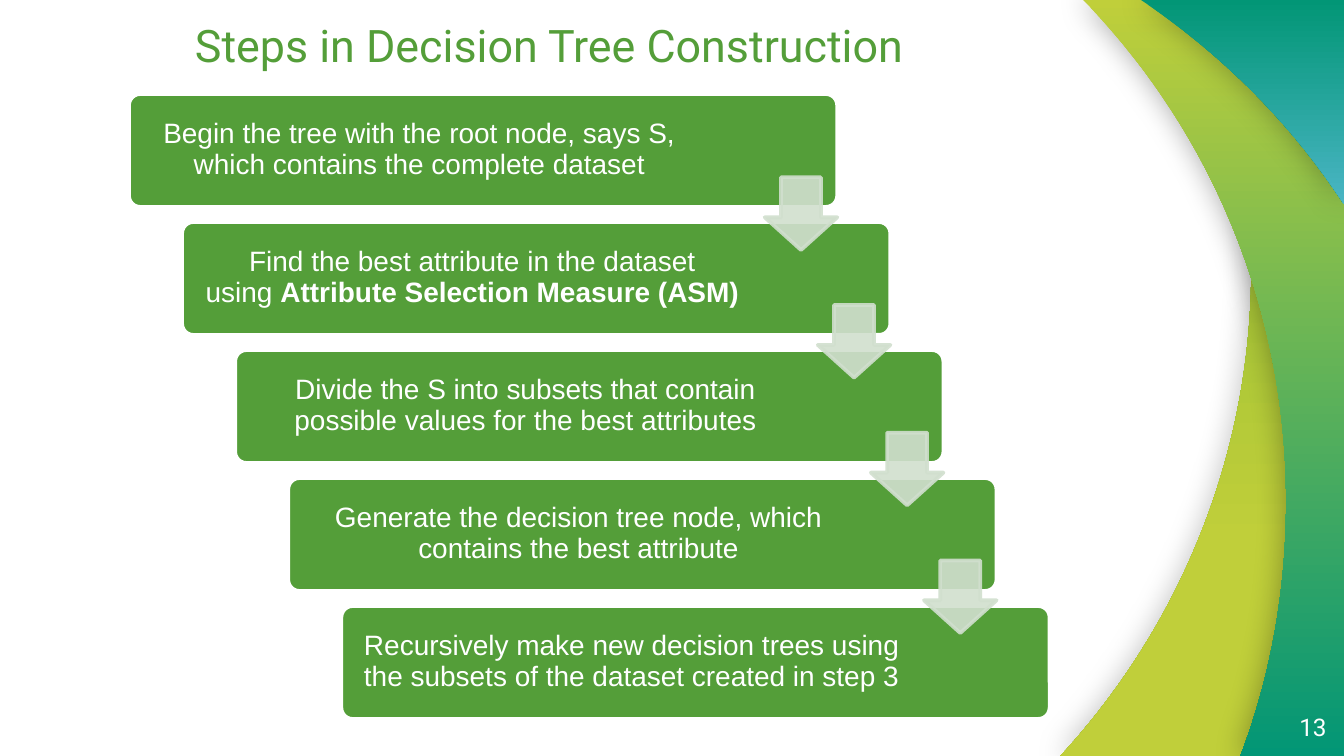
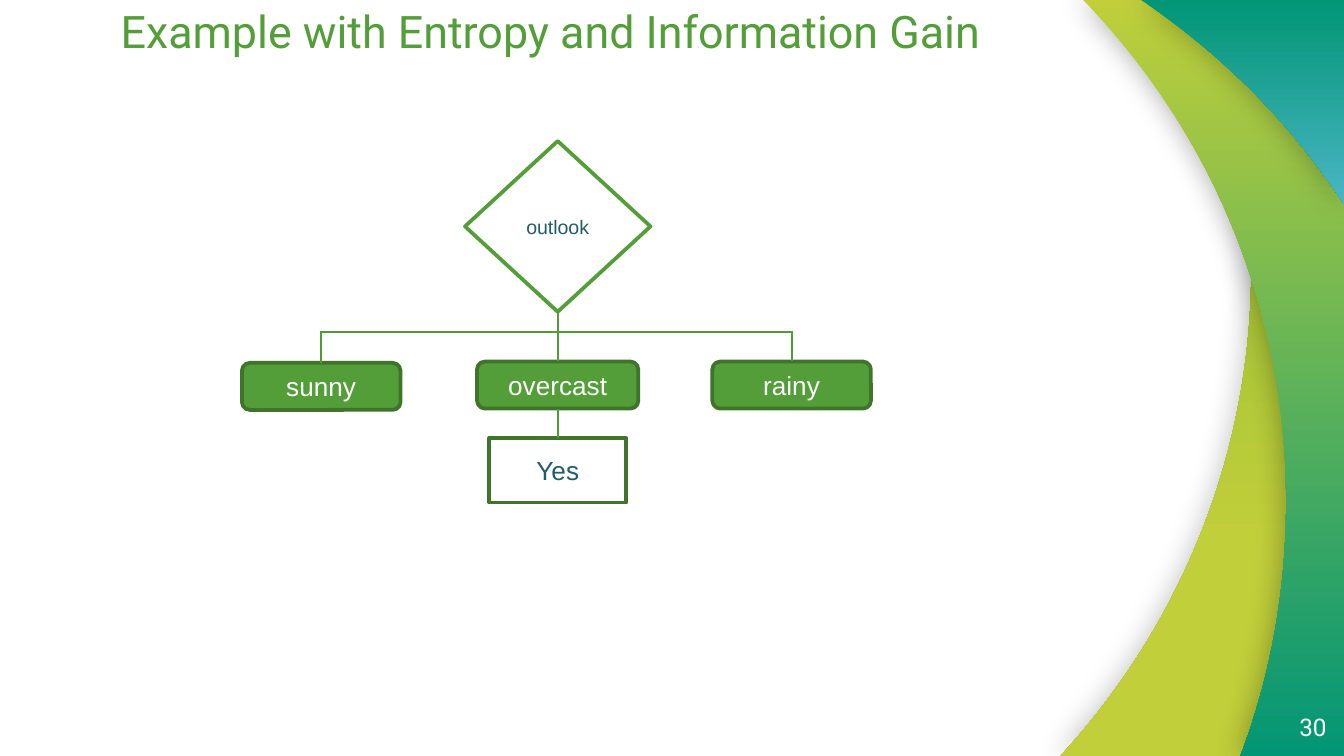
from lxml.etree import SubElement
from pptx import Presentation
from pptx.dml.color import RGBColor
from pptx.enum.shapes import MSO_CONNECTOR, MSO_SHAPE
from pptx.enum.text import MSO_ANCHOR, PP_ALIGN
from pptx.oxml.ns import qn
from pptx.util import Inches, Pt

WHITE = RGBColor(0xFF, 0xFF, 0xFF)
GREEN = RGBColor(0x54, 0x9E, 0x39)
DARK_GREEN = RGBColor(0x3E, 0x75, 0x2A)
LINE_GREEN = RGBColor(0x51, 0x9D, 0x35)
PALE_GREEN = RGBColor(0xD1, 0xDF, 0xCE)
LEAF = RGBColor(0x8A, 0xB8, 0x33)
LIME = RGBColor(0xC0, 0xCF, 0x3A)
TEAL = RGBColor(0x02, 0x96, 0x76)
AQUA = RGBColor(0x4A, 0xB5, 0xC4)
INK = RGBColor(0x21, 0x5D, 0x66)

WIDTH = 10
HEIGHT = WIDTH * 9 / 16
HARD_SPACE = chr(160)

# Bands: start, Bezier curves, corners, top colour, bottom colour, gradient end, shadow %
BANDS = [
    ((8.92, 0), [((9.18, 0.64), (9.31, 1.31), (9.31, 2)),
                 ((9.31, 3.4), (8.77, 4.67), (7.89, HEIGHT))],
     [(WIDTH, HEIGHT), (WIDTH, 0)], LEAF, LIME, 0.72, 25),
    ((8.06, 0), [((9, 0.96), (9.57, 2.28), (9.57, 3.73)),
                 ((9.57, 4.38), (9.46, 5.02), (9.23, HEIGHT))],
     [(WIDTH, HEIGHT), (WIDTH, 0)], LIME, TEAL, 1, 35),
    ((8.49, 0), [((9.09, 0.4), (9.61, 0.92), (WIDTH, 1.52))],
     [(WIDTH, 0)], TEAL, AQUA, 1, 30),
]


def add_block(page, kind, place, fill, outline):
    block = page.shapes.add_shape(kind, *[Inches(length) for length in place])
    block.shadow.inherit = False
    block.fill.solid()
    block.fill.fore_color.rgb = fill
    block.line.color.rgb = outline
    block.line.width = Pt(2)
    return block


def write(box, text, size, color, font="Arial", align=PP_ALIGN.CENTER,
          anchor=MSO_ANCHOR.MIDDLE, margin=0, spacing=1.0, bold_tail=""):
    frame = box.text_frame
    frame.text = text
    frame.word_wrap = True
    frame.vertical_anchor = anchor
    frame.margin_left = frame.margin_right = Inches(margin)
    frame.margin_top = frame.margin_bottom = Inches(margin)
    para = frame.paragraphs[0]
    para.alignment = align
    para.line_spacing = spacing
    if bold_tail:
        tail = para.add_run()
        tail.text = bold_tail
        tail.font.bold = True
    for span in para.runs:
        span.font.name = font
        span.font.size = Pt(size)
        span.font.color.rgb = color


deck = Presentation()
deck.slide_width = Inches(WIDTH)
deck.slide_height = Inches(HEIGHT)

# Shared frame of both slides: bands, title and slide number
pages = []
for title, title_left, title_top, number in [
    ("Steps in Decision Tree Construction", 0.28, 0.11, "13"),
    ("Example with Entropy and Information Gain", 0.29, 0, "30"),
]:
    page = deck.slides.add_slide(deck.slide_layouts[6])
    pages.append(page)
    for start, curves, corners, top_color, bottom_color, end, opacity in BANDS:
        knots = [curve[-1] for curve in curves] + corners
        builder = page.shapes.build_freeform(Inches(start[0]), Inches(start[1]))
        builder.add_line_segments([(Inches(x), Inches(y)) for x, y in knots], close=True)
        band = builder.convert_to_shape()
        # Bend the first segments into Bezier curves
        segments = list(band._element.spPr.iter(qn("a:lnTo")))
        for segment, curve in zip(segments, curves):
            segment.tag = qn("a:cubicBezTo")
            segment.remove(segment[0])
            for x, y in curve:
                SubElement(segment, qn("a:pt"), x=str(Inches(x) - band.left),
                           y=str(Inches(y) - band.top))
        band.line.fill.background()
        band.fill.gradient()
        band.fill.gradient_angle = 270
        for stop, color, position in zip(band.fill.gradient_stops,
                                         (top_color, bottom_color), (0, end)):
            stop.color.rgb = color
            stop.position = position
        band.shadow.inherit = False
        effects = band._element.spPr.find(qn("a:effectLst"))
        shadow = SubElement(effects, qn("a:outerShdw"), blurRad=str(Pt(16.9)),
                            dist="0", dir="0", algn="ctr", rotWithShape="0")
        black = SubElement(shadow, qn("a:srgbClr"), val="000000")
        SubElement(black, qn("a:alpha"), val=str(opacity * 1000))

    title_box = page.shapes.add_textbox(Inches(title_left), Inches(title_top),
                                        Inches(7.61), Inches(0.43))
    write(title_box, title, 24, GREEN, "Roboto", anchor=MSO_ANCHOR.BOTTOM, spacing=0.9)
    number_box = page.shapes.add_textbox(Inches(9.27), Inches(5.19), Inches(0.6), Inches(0.43))
    write(number_box, number, 13, WHITE, "Roboto", PP_ALIGN.RIGHT)

steps_page, tree_page = pages

# Staircase of steps
STEPS = [
    ("Begin the tree with the root node, says S, which contains the complete dataset", ""),
    ("Find the best attribute in the dataset using" + HARD_SPACE,
     "Attribute Selection Measure (ASM)"),
    ("Divide the S into subsets that contain possible values for the best attributes", ""),
    ("Generate the decision tree node, which contains the best attribute", ""),
    ("Recursively make new decision trees using the subsets of the dataset created in step 3", ""),
]
step_right = (2.54 - 0.96) / 4
step_down = (4.51 - 0.7) / 4
for index, (text, bold_tail) in enumerate(STEPS):
    left = 0.96 + index * step_right
    top = 0.7 + index * step_down
    card = add_block(steps_page, MSO_SHAPE.ROUNDED_RECTANGLE, (left, top, 5.27, 0.84),
                     GREEN, WHITE)
    card.adjustments[0] = 0.1
    label = steps_page.shapes.add_textbox(Inches(left + 0.02), Inches(top + 0.02),
                                          Inches(4.28), Inches(0.79))
    write(label, text, 15, WHITE, margin=0.06, spacing=0.9, bold_tail=bold_tail)

# Translucent arrows between the steps
for index in range(len(STEPS) - 1):
    arrow = add_block(steps_page, MSO_SHAPE.DOWN_ARROW,
                      (5.69 + index * step_right, 1.32 + index * 0.95, 0.54, 0.54),
                      PALE_GREEN, PALE_GREEN)
    arrow.adjustments[0] = 0.55
    arrow.adjustments[1] = 0.45
    for color in arrow._element.spPr.iter(qn("a:srgbClr")):
        SubElement(color, qn("a:alpha"), val="90000")

# Decision tree nodes
nodes = {}
for text, kind, place, fill, outline, size, color in [
    ("outlook", MSO_SHAPE.DIAMOND, (3.46, 1.05, 1.38, 1.27), WHITE, GREEN, 10.5, INK),
    ("Yes", MSO_SHAPE.RECTANGLE, (3.64, 3.26, 1.02, 0.48), WHITE, DARK_GREEN, 14, INK),
    ("overcast", MSO_SHAPE.ROUNDED_RECTANGLE, (3.55, 2.69, 1.2, 0.35),
     GREEN, DARK_GREEN, 14, WHITE),
    ("sunny", MSO_SHAPE.ROUNDED_RECTANGLE, (1.8, 2.7, 1.18, 0.35),
     GREEN, DARK_GREEN, 14, WHITE),
    ("rainy", MSO_SHAPE.ROUNDED_RECTANGLE, (5.3, 2.69, 1.18, 0.35),
     GREEN, DARK_GREEN, 14, WHITE),
]:
    nodes[text] = add_block(tree_page, kind, place, fill, outline)
    write(nodes[text], text, size, color)

# Branches: ends, then the nodes joined at the bottom and at the top
for x1, y1, x2, y2, upper, lower in [
    (4.15, 2.32, 4.15, 2.69, "outlook", "overcast"),
    (2.39, 2.47, 5.89, 2.47, None, None),
    (2.39, 2.46, 2.39, 2.7, None, "sunny"),
    (5.89, 2.46, 5.89, 2.69, None, "rainy"),
    (4.15, 3.04, 4.15, 3.26, "overcast", "Yes"),
]:
    branch = tree_page.shapes.add_connector(MSO_CONNECTOR.STRAIGHT, Inches(x1), Inches(y1),
                                            Inches(x2), Inches(y2))
    if upper:
        branch.begin_connect(nodes[upper], 2)
    if lower:
        branch.end_connect(nodes[lower], 0)
    branch.line.color.rgb = LINE_GREEN
    branch.line.width = Pt(1)
    SubElement(branch._element.spPr, qn("a:effectLst"))

deck.save("out.pptx")
